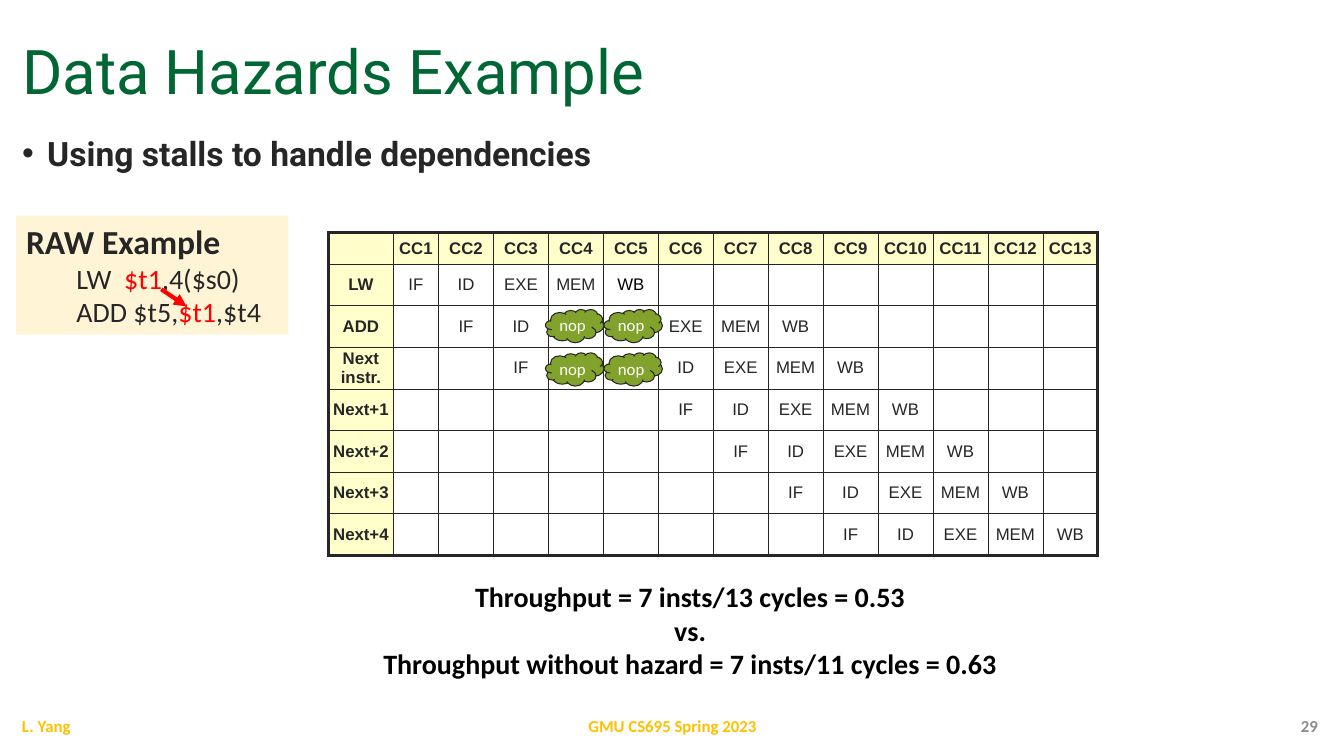
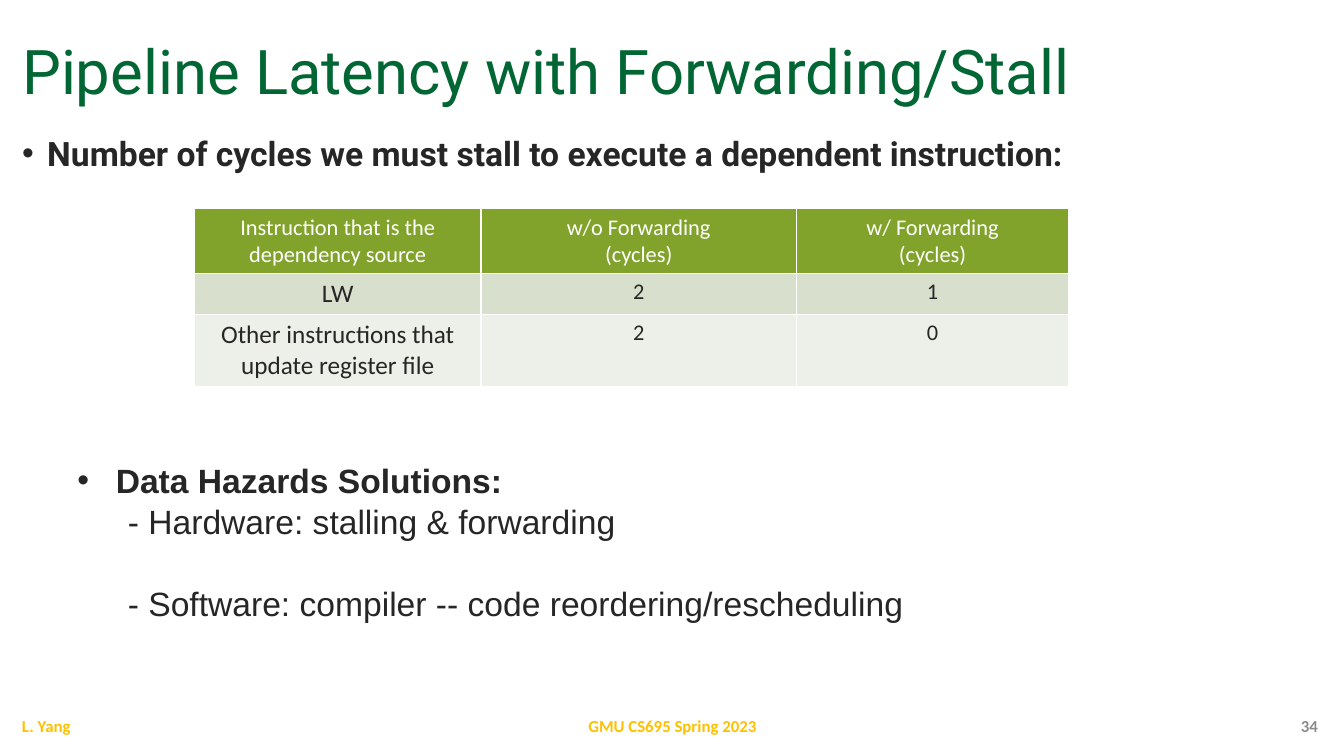
from pptx import Presentation
from pptx.dml.color import RGBColor
from pptx.enum.shapes import MSO_CONNECTOR, MSO_SHAPE
from pptx.enum.text import MSO_ANCHOR, MSO_AUTO_SIZE, PP_ALIGN
from pptx.oxml import parse_xml
from pptx.oxml.ns import nsdecls
from pptx.util import Inches, Pt

INK, BLACK, WHITE = "262626", "000000", "FFFFFF"
GREEN, LEAF, GOLD, GRAY, RED = "006633", "81A32B", "FFC000", "8C8C8C", "FF0000"
CREAM, YELLOW, SAGE, PALE = "FFF5D6", "FFFFCC", "D8E0CD", "EDF0E8"
rgb = RGBColor.from_string


def add_run(p, text, size, color=INK, bold=False, font="Calibri"):
    r = p.add_run()
    r.text = text
    r.font.size, r.font.bold, r.font.name = Pt(size), bold, font
    r.font.color.rgb = rgb(color)


def add_textbox(s, left, top, width, height, anchor=MSO_ANCHOR.TOP):
    tf = s.shapes.add_textbox(Inches(left), Inches(top), Inches(width), Inches(height)).text_frame
    tf.word_wrap = True
    tf.vertical_anchor = anchor
    return tf


prs = Presentation()
prs.slide_width, prs.slide_height = Inches(13.33), Inches(7.5)
indents = []  # paragraph, left margin, first-line indent, bulleted

# Shared title, lead bullet and footer
for title, lead, number in [
    ("Data Hazards Example", "Using stalls to handle dependencies", "29"),
    ("Pipeline Latency with Forwarding/Stall",
     "Number of cycles we must stall to execute a dependent instruction:", "34"),
]:
    s = prs.slides.add_slide(prs.slide_layouts[5])
    sp = s.shapes.title
    sp.left, sp.top, sp.width, sp.height = Inches(0.12), Inches(0.17), Inches(13.05), Inches(0.95)
    tf = sp.text_frame
    tf.auto_size = MSO_AUTO_SIZE.NONE
    tf.vertical_anchor = MSO_ANCHOR.BOTTOM
    p = tf.paragraphs[0]
    p.alignment, p.line_spacing = PP_ALIGN.LEFT, 0.9
    add_run(p, title, 44, GREEN, font="Roboto")

    p = add_textbox(s, 0.12, 1.27, 13.05, 0.6).paragraphs[0]
    add_run(p, lead, 24, bold=True, font="Roboto")
    indents.append((p, 0.25, -0.25, True))

    for text, left, width, align, color in [
        ("L. Yang", 0.12, 3, PP_ALIGN.LEFT, GOLD),
        ("GMU CS695 Spring 2023", 4.42, 4.5, PP_ALIGN.CENTER, GOLD),
        (number, 10.17, 3, PP_ALIGN.RIGHT, GRAY),
    ]:
        p = add_textbox(s, left, 7, width, 0.4, MSO_ANCHOR.MIDDLE).paragraphs[0]
        p.alignment = align
        add_run(p, text, 12, color, True)

hazards, latency = prs.slides

# Pipeline timing table: label, first cycle, stages ("nop" is a stall)
STAGES = "IF ID EXE MEM WB"
schedule = [
    ("LW", 1, STAGES),
    ("ADD", 2, "IF ID nop nop EXE MEM WB"),
    ("Next instr.", 3, "IF nop nop ID EXE MEM WB"),
] + [(f"Next+{i}", i + 5, STAGES) for i in range(1, 5)]
grid = [[""] + [f"CC{i}" for i in range(1, 14)]]
for label, start, stages in schedule:
    row = [label] + [""] * 13
    stages = stages.split()
    row[start:start + len(stages)] = stages
    grid.append(row)

timing = hazards.shapes.add_table(8, 14, Inches(3.26), Inches(2.31), Inches(7.63), Inches(3.2)).table
for j, col in enumerate(timing.columns):
    col.width = Inches({0: 0.64, 1: 0.45}.get(j, 6.54 / 12))
for i, row in enumerate(timing.rows):
    row.height = Inches(2.89 / 7 if i else 0.31)
    for j, cell in enumerate(row.cells):
        text, header = grid[i][j], i == 0 or j == 0
        cell.margin_left = cell.margin_right = cell.margin_top = cell.margin_bottom = 0
        cell.vertical_anchor = MSO_ANCHOR.MIDDLE
        if header:
            cell.fill.solid()
            cell.fill.fore_color.rgb = rgb(YELLOW)
        else:
            cell.fill.background()
        if text and text != "nop":
            p = cell.text_frame.paragraphs[0]
            p.alignment = PP_ALIGN.CENTER
            add_run(p, text, 12, BLACK if (i, text) == (1, "WB") else INK, header, "Arial")

# Stall clouds
for i in range(2):
    for j in range(2):
        sp = hazards.shapes.add_shape(MSO_SHAPE.CLOUD, Inches(5.41 + 0.58 * j), Inches(3.07 + 0.43 * i),
                                      Inches(0.58), Inches(0.33))
        sp.shadow.inherit = False
        sp.fill.solid()
        sp.fill.fore_color.rgb = rgb(LEAF)
        sp.line.color.rgb, sp.line.width = rgb(INK), Pt(0.75)
        tf = sp.text_frame
        tf.margin_left = tf.margin_right = 0
        tf.vertical_anchor = MSO_ANCHOR.MIDDLE
        p = tf.paragraphs[0]
        p.alignment = PP_ALIGN.CENTER
        add_run(p, "nop", 12, WHITE)

# Throughput comparison
tf = add_textbox(hazards, 3.62, 5.7, 6.45, 1.15)
tf.word_wrap = False
for i, text in enumerate(["Throughput = 7 insts/13 cycles = 0.53", "vs.",
                          "Throughput without hazard = 7 insts/11 cycles = 0.63"]):
    p = tf.add_paragraph() if i else tf.paragraphs[0]
    p.alignment = PP_ALIGN.CENTER
    add_run(p, text, 20, BLACK, True)

# Read-after-write code box
sp = hazards.shapes.add_shape(MSO_SHAPE.RECTANGLE, Inches(0.16), Inches(2.14), Inches(2.7), Inches(1.18))
sp.shadow.inherit = False
sp.fill.solid()
sp.fill.fore_color.rgb = rgb(CREAM)
sp.line.fill.background()
tf = sp.text_frame
tf.vertical_anchor = MSO_ANCHOR.TOP
p = tf.paragraphs[0]
p.alignment = PP_ALIGN.LEFT
add_run(p, "RAW Example", 24, bold=True)
for before, after in [("LW  ", ",4($s0)"), ("ADD $t5,", ",$t4")]:
    p = tf.add_paragraph()
    p.alignment = PP_ALIGN.LEFT
    indents.append((p, 0.5, 0, False))
    add_run(p, before, 20)
    add_run(p, "$t1", 20, RED)
    add_run(p, after, 20)

# Dependency arrow
arrow = hazards.shapes.add_connector(MSO_CONNECTOR.STRAIGHT, Inches(1.6), Inches(2.87),
                                     Inches(1.85), Inches(3.04))
arrow.line.color.rgb, arrow.line.width = rgb(RED), Pt(3)
arrow.line._get_or_add_ln().append(parse_xml(f'<a:tailEnd {nsdecls("a")} type="triangle"/>'))
arrow._element.spPr.append(parse_xml(f'<a:effectLst {nsdecls("a")}/>'))

# Stall cycle table: height, fill, text colour, first-column size, cells
stall_rows = [
    (0.64, LEAF, WHITE, 16, ["Instruction that is the dependency source",
                             "w/o Forwarding\n(cycles)", "w/ Forwarding\n(cycles)"]),
    (0.41, SAGE, INK, 18, ["LW", "2", "1"]),
    (0.72, PALE, INK, 18, ["Other instructions that update register file", "2", "0"]),
]
stalls = latency.shapes.add_table(3, 3, Inches(1.93), Inches(2.07), Inches(8.67), Inches(1.77)).table
for col, width in zip(stalls.columns, [2.84, 3.13, 2.7]):
    col.width = Inches(width)
for row, (height, fill, color, first_size, texts) in zip(stalls.rows, stall_rows):
    row.height = Inches(height)
    for j, (cell, text) in enumerate(zip(row.cells, texts)):
        cell.fill.solid()
        cell.fill.fore_color.rgb = rgb(fill)
        tf = cell.text_frame
        for k, line in enumerate(text.split("\n")):
            p = tf.add_paragraph() if k else tf.paragraphs[0]
            p.alignment = PP_ALIGN.CENTER
            add_run(p, line, 16 if j else first_size, color)

# Cell borders of both tables
for tbl, color, outer, inner in [(timing, INK, 2.25, 0.5), (stalls, WHITE, 1, 1)]:
    tbl.first_row = tbl.horz_banding = False
    last_row, last_col = len(tbl.rows) - 1, len(tbl.columns) - 1
    for i, row in enumerate(tbl.rows):
        for j, cell in enumerate(row.cells):
            edges = [("L", j == 0), ("R", j == last_col), ("T", i == 0), ("B", i == last_row)]
            for k, (side, is_outer) in enumerate(edges):
                cell._tc.get_or_add_tcPr().insert(k, parse_xml(
                    f'<a:ln{side} {nsdecls("a")} w="{Pt(outer if is_outer else inner)}">'
                    f'<a:solidFill><a:srgbClr val="{color}"/></a:solidFill></a:ln{side}>'))

# Data hazard solutions
tf = add_textbox(latency, 0.67, 4.51, 8.47, 1.72)
for i, text in enumerate(["Data Hazards Solutions:", "- Hardware: stalling & forwarding",
                          "- Software: compiler -- code reordering/rescheduling"]):
    p = tf.add_paragraph() if i else tf.paragraphs[0]
    p.line_spacing = Pt(29.2)
    if i == 2:
        p.space_before = Pt(29.2)
    add_run(p, text, 24, bold=i == 0, font="Arial")
    indents.append((p, 0.5, 0, False) if i else (p, 0.38, -0.38, True))

# Indents and bullets
for p, margin, indent, bulleted in indents:
    pPr = p._p.get_or_add_pPr()
    pPr.set("marL", str(Inches(margin)))
    pPr.set("indent", str(Inches(indent)))
    if bulleted:
        pPr.append(parse_xml(f'<a:buFont {nsdecls("a")} typeface="Arial"/>'))
        pPr.append(parse_xml(f'<a:buChar {nsdecls("a")} char="•"/>'))

prs.save("out.pptx")
